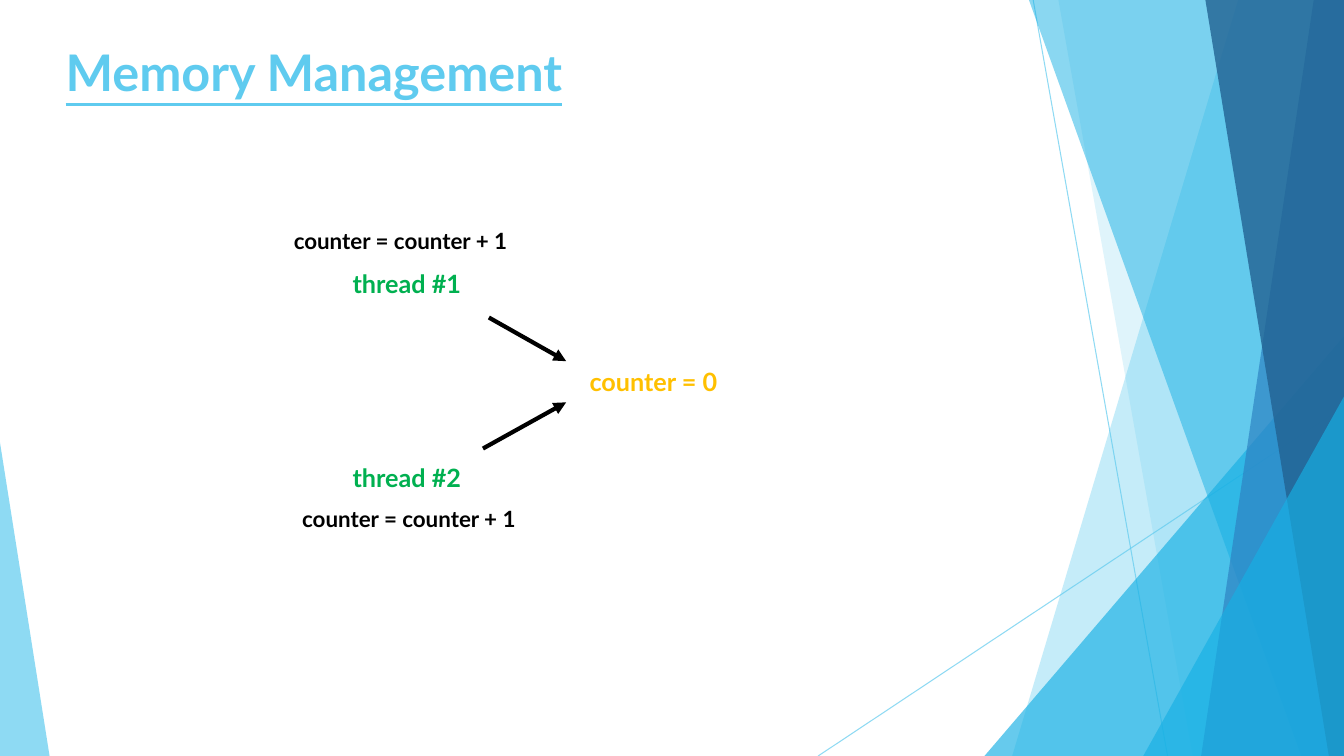
"""Build the Memory Management slide, with lengths on a grid of 160 columns by 90 rows."""
from dataclasses import dataclass
from typing import Any, Optional

import lxml.etree
import pptx
import pptx.dml.color
import pptx.enum.shapes
import pptx.enum.text
import pptx.oxml.ns
import pptx.util

COLS, ROWS = 160, 90
CELL = pptx.util.Inches(7.5) / ROWS
COLORS = {
    "sky": "5FCBEF", "cyan": "17B0E4", "blue": "2E83C3", "navy": "226292",
    "green": "00B050", "gold": "FFC000", "black": "000000",
}


@dataclass
class Line:
    x1: float
    y1: float
    x2: float
    y2: float
    color: str = "black"
    width: float = 3
    alpha: Optional[int] = None
    arrow: bool = True


@dataclass
class Band:
    top_x: float
    bottom_x: float
    color: str
    alpha: int


@dataclass
class Triangle:
    x: float
    y: float
    w: float
    apex: int
    color: str
    alpha: int


@dataclass
class Label:
    x: float
    y: float
    w: float
    h: float
    text: str
    size: int
    color: str


BACKDROP = [
    Line(123, 0, 139, 90, "sky", 0.75, 70, False),
    Line(160, 48.4, 97.4, 90, "sky", 0.75, 70, False),
    Band(147.4, 120.5, "sky", 36),
    Band(126, 142, "sky", 20),
    Triangle(117.2, 40, 42.8, 1, "cyan", 66),
    Band(122.5, 154.9, "cyan", 50),
    Band(156.4, 143, "blue", 70),
    Band(143.5, 158.2, "navy", 80),
    Triangle(136.1, 47.2, 23.9, 1, "cyan", 66),
    Triangle(0, 52.7, 5.9, 0, "sky", 70),
]
TITLE = Label(6.6, 4.3, 112.8, 17.3, "Memory Management", 36, "sky")
DIAGRAM = [
    Label(69, 43, 18.8, 4.8, "counter = 0", 18, "gold"),
    Label(40.8, 31.3, 16.3, 4.8, "thread #1", 18, "green"),
    Label(40.8, 54.5, 16.3, 4.8, "thread #2", 18, "green"),
    Line(58.2, 37.8, 67.4, 43),
    Label(33.8, 26.4, 30.2, 4.4, "counter = counter + 1", 16, "black"),
    Line(57.5, 53.4, 67.4, 47.9),
    Label(34.8, 59.5, 30.2, 4.4, "counter = counter + 1", 16, "black"),
]


def grid(*cells: float) -> list[int]:
    return [round(c * CELL) for c in cells]


def rgb(name: str) -> pptx.dml.color.RGBColor:
    return pptx.dml.color.RGBColor.from_string(COLORS[name])


def apply(obj: Any, formats: dict[str, Any]) -> None:
    for name, value in formats.items():
        setattr(obj, name, value)


def add_xml(parent: Any, tag: str, **attrs: str) -> None:
    lxml.etree.SubElement(parent, pptx.oxml.ns.qn(tag), attrs)


def set_alpha(sp: Any, percent: int) -> None:
    for clr in list(sp.element.spPr.iter(pptx.oxml.ns.qn("a:srgbClr"))):
        add_xml(clr, "a:alpha", val=str(percent * 1000))


def draw_line(s: Any, line: Line) -> None:
    kind = pptx.enum.shapes.MSO_CONNECTOR.STRAIGHT
    sp = s.shapes.add_connector(kind, *grid(line.x1, line.y1, line.x2, line.y2))
    sp.line.width = pptx.util.Pt(line.width)
    sp.line.color.rgb = rgb(line.color)
    if line.alpha is not None:
        set_alpha(sp, line.alpha)
    if line.arrow:
        add_xml(sp.line._get_or_add_ln(), "a:tailEnd", type="triangle")
    add_xml(sp.element.spPr, "a:effectLst")


def fill_shape(sp: Any, item: Band | Triangle) -> None:
    sp.shadow.inherit = False
    sp.fill.solid()
    sp.fill.fore_color.rgb = rgb(item.color)
    sp.line.fill.background()
    set_alpha(sp, item.alpha)


def draw_band(s: Any, band: Band) -> None:
    fb = s.shapes.build_freeform(*grid(band.top_x, 0))
    corners = [(COLS, 0), (COLS, ROWS), (band.bottom_x, ROWS)]
    fb.add_line_segments([tuple(grid(*c)) for c in corners], close=True)
    fill_shape(fb.convert_to_shape(), band)


def draw_triangle(s: Any, tri: Triangle) -> None:
    kind = pptx.enum.shapes.MSO_SHAPE.ISOSCELES_TRIANGLE
    sp = s.shapes.add_shape(kind, *grid(tri.x, tri.y, tri.w, ROWS - tri.y))
    sp.adjustments[0] = tri.apex
    fill_shape(sp, tri)


def write_text(sp: Any, label: Label, frame: dict[str, Any], **font: Any) -> None:
    tf = sp.text_frame
    apply(tf, frame)
    p = tf.paragraphs[0]
    p.alignment = pptx.enum.text.PP_ALIGN.LEFT
    r = p.add_run()
    r.text = label.text
    size = pptx.util.Pt(label.size)
    apply(r.font, {"name": "Lato", "size": size, "bold": True, **font})
    r.font.color.rgb = rgb(label.color)


def draw_label(s: Any, label: Label) -> None:
    sp = s.shapes.add_textbox(*grid(label.x, label.y, label.w, label.h))
    fit = pptx.enum.text.MSO_AUTO_SIZE.SHAPE_TO_FIT_TEXT
    write_text(sp, label, {"word_wrap": False, "auto_size": fit})


def draw_title(s: Any, label: Label) -> None:
    sp = s.shapes.title
    box = grid(label.x, label.y, label.w, label.h)
    apply(sp, dict(zip(("left", "top", "width", "height"), box)))
    frame = {
        "word_wrap": True,
        "auto_size": pptx.enum.text.MSO_AUTO_SIZE.NONE,
        "vertical_anchor": pptx.enum.text.MSO_ANCHOR.TOP,
    }
    write_text(sp, label, frame, underline=True)
    sp.element.getparent().append(sp.element)


DRAW = {Line: draw_line, Band: draw_band, Triangle: draw_triangle, Label: draw_label}


def main() -> None:
    prs = pptx.Presentation()
    prs.slide_width, prs.slide_height = grid(COLS, ROWS)
    s = prs.slides.add_slide(prs.slide_layouts[5])
    for item in BACKDROP:
        DRAW[type(item)](s, item)
    draw_title(s, TITLE)
    for item in DIAGRAM:
        DRAW[type(item)](s, item)
    prs.save("out.pptx")


if __name__ == "__main__":
    main()
